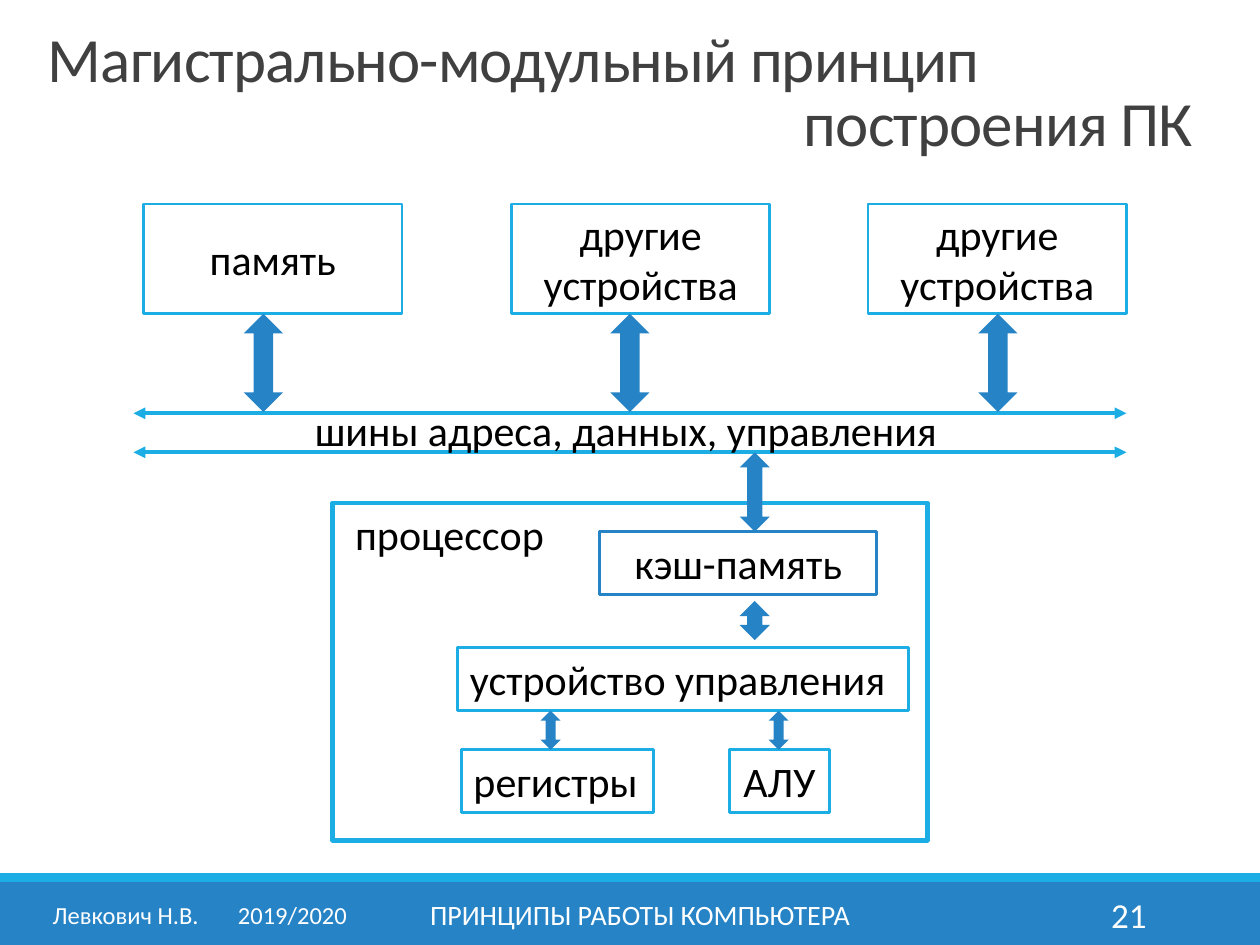
from lxml import etree
from pptx import Presentation
from pptx.dml.color import RGBColor
from pptx.enum import shapes, text
from pptx.oxml import ns
from pptx.util import Inches, Pt

SKY = RGBColor(0x1C, 0xAD, 0xE4)
BLUE = RGBColor(0x26, 0x83, 0xC6)
BLACK = RGBColor(0, 0, 0)
WHITE = RGBColor(0xFF, 0xFF, 0xFF)
GRAY = RGBColor(0x40, 0x40, 0x40)
LEFT, CENTER, RIGHT = text.PP_ALIGN.LEFT, text.PP_ALIGN.CENTER, text.PP_ALIGN.RIGHT
TOP, MIDDLE = text.MSO_ANCHOR.TOP, text.MSO_ANCHOR.MIDDLE


def write(shape, words, size=24, color=BLACK, align=LEFT, anchor=TOP, wrap=True):
    """Set and format the text of a shape, and return its paragraph."""
    frame = shape.text_frame
    frame.text = words
    frame.word_wrap = wrap
    frame.auto_size = text.MSO_AUTO_SIZE.NONE
    frame.vertical_anchor = anchor
    para = frame.paragraphs[0]
    para.alignment = align
    for span in para.runs:
        span.font.size = Pt(size)
        span.font.name = "Calibri"
        span.font.color.rgb = color
    return para


def add_tab(para, position):
    """Give a paragraph one left tab stop, in inches."""
    stops = etree.SubElement(para._p.get_or_add_pPr(), ns.qn("a:tabLst"))
    etree.SubElement(stops, ns.qn("a:tab"), pos=str(Inches(position)), algn="l")


def add_label(page, box, words, **style):
    """Add a text box and return its paragraph."""
    return write(page.shapes.add_textbox(*map(Inches, box)), words, **style)


def add_block(page, box, kind=shapes.MSO_SHAPE.RECTANGLE, fill=None, line=None, width=1.75):
    """Add a shape with an optional fill and outline."""
    block = page.shapes.add_shape(kind, *map(Inches, box))
    block.shadow.inherit = False
    if fill is None:
        block.fill.background()
    else:
        block.fill.solid()
        block.fill.fore_color.rgb = fill
    if line is None:
        block.line.fill.background()
    else:
        block.line.color.rgb = line
        block.line.width = Pt(width)
    return block


def add_link(page, center, top, width, height):
    """Add a vertical double arrow around a centre line."""
    add_block(page, (center - width / 2, top, width, height),
              shapes.MSO_SHAPE.UP_DOWN_ARROW, fill=BLUE)


def add_title(page, box):
    """Place the two-line title, its second line set off by a tab."""
    title = page.shapes.title
    title.left, title.top, title.width, title.height = map(Inches, box)
    para = write(title, "Магистрально-модульный принцип\v\tпостроения ПК",
                 size=36, color=GRAY, anchor=MIDDLE)
    para.line_spacing = 0.85
    add_tab(para, 6)
    for span in para.runs:
        span.font._element.set("spc", "-50")


def add_devices(page, box):
    """Draw the devices above the bus and their links down to it."""
    left, top, width, height = box
    block_width, block_height = 2.05, 0.87
    devices = [("память", 0, 0.95), ("другие устройства", 2.92, 3.86),
               ("другие устройства", width - block_width, 6.78)]
    for name, offset, center in devices:
        block = add_block(page, (left + offset, top, block_width, block_height),
                          line=SKY, width=1.5)
        write(block, name, align=CENTER, anchor=MIDDLE)
        add_link(page, left + center, top + block_height, 0.31, height - block_height)


def add_bus(page, box):
    """Draw the bus as two double-headed lines around its label."""
    left, top, width, height = box
    for y in (top, top + height):
        line = page.shapes.add_connector(
            shapes.MSO_CONNECTOR.STRAIGHT,
            *map(Inches, (left, y, left + width, y)))
        line.line.color.rgb = SKY
        line.line.width = Pt(2.25)
        outline = line.line._get_or_add_ln()
        for end in ("a:headEnd", "a:tailEnd"):
            etree.SubElement(outline, ns.qn(end), type="triangle")
        etree.SubElement(line._element.spPr, ns.qn("a:effectLst"))
    add_label(page, (left + 1.34, top - 0.12, 5.19, 0.5),
              "шины адреса, данных, управления", wrap=False)


def add_processor(page, box):
    """Draw the processor, its units and the links between them."""
    left, top, width, height = box
    add_block(page, box, line=SKY, width=2.5)
    add_label(page, (left + 0.08, top, 1.72, 0.5), "процессор", wrap=False)
    units = [("кэш-память", 2.12, 0.23, 2.2, BLUE, CENTER),
             ("устройство управления", 0.99, 1.15, 3.58, SKY, LEFT),
             ("регистры", 1.02, 1.96, 1.53, SKY, LEFT),
             ("АЛУ", 3.15, 1.96, 0.79, SKY, CENTER)]
    for name, x, y, unit_width, color, align in units:
        unit = add_block(page, (left + x, top + y, unit_width, 0.5), line=color)
        write(unit, name, align=align)
    links = [(3.35, -0.4, 0.24, 0.63), (3.35, 0.78, 0.24, 0.31),
             (1.73, 1.65, 0.16, 0.31), (3.54, 1.65, 0.16, 0.31)]
    for center, y, link_width, link_height in links:
        add_link(page, left + center, top + y, link_width, link_height)


def add_footer(page, box):
    """Draw the footer band with author, course and page number."""
    left, top, width, height = box
    stripe = 0.07
    add_block(page, (left, top + stripe, width, height - stripe), fill=BLUE)
    add_block(page, (left, top, width, stripe), fill=SKY)
    labels = [("Левкович Н.В.\t2019/2020", 0.32, 2.61, 14, LEFT),
              ("ПРИНЦИПЫ РАБОТЫ КОМПЬЮТЕРА", 3.02, 4.12, 16, CENTER),
              ("21", 8.12, 1.08, 20, RIGHT)]
    for words, x, label_width, size, align in labels:
        para = add_label(page, (left + x, top + 0.13, label_width, 0.4), words,
                         size=size, color=WHITE, align=align, anchor=MIDDLE)
        if "\t" in words:
            add_tab(para, 1.47)


def main():
    """Build the slide and save the deck."""
    deck = Presentation()
    deck.slide_width, deck.slide_height = Inches(10), Inches(7.5)
    page = deck.slides.add_slide(deck.slide_layouts[5])
    add_footer(page, (0, 6.93, 10, 0.57))
    add_title(page, (0.28, 0.43, 9.45, 0.65))
    add_bus(page, (1.06, 3.28, 7.88, 0.31))
    add_devices(page, (1.14, 1.62, 7.8, 1.65))
    add_processor(page, (2.64, 3.99, 4.72, 2.68))
    deck.save("out.pptx")


if __name__ == "__main__":
    main()
